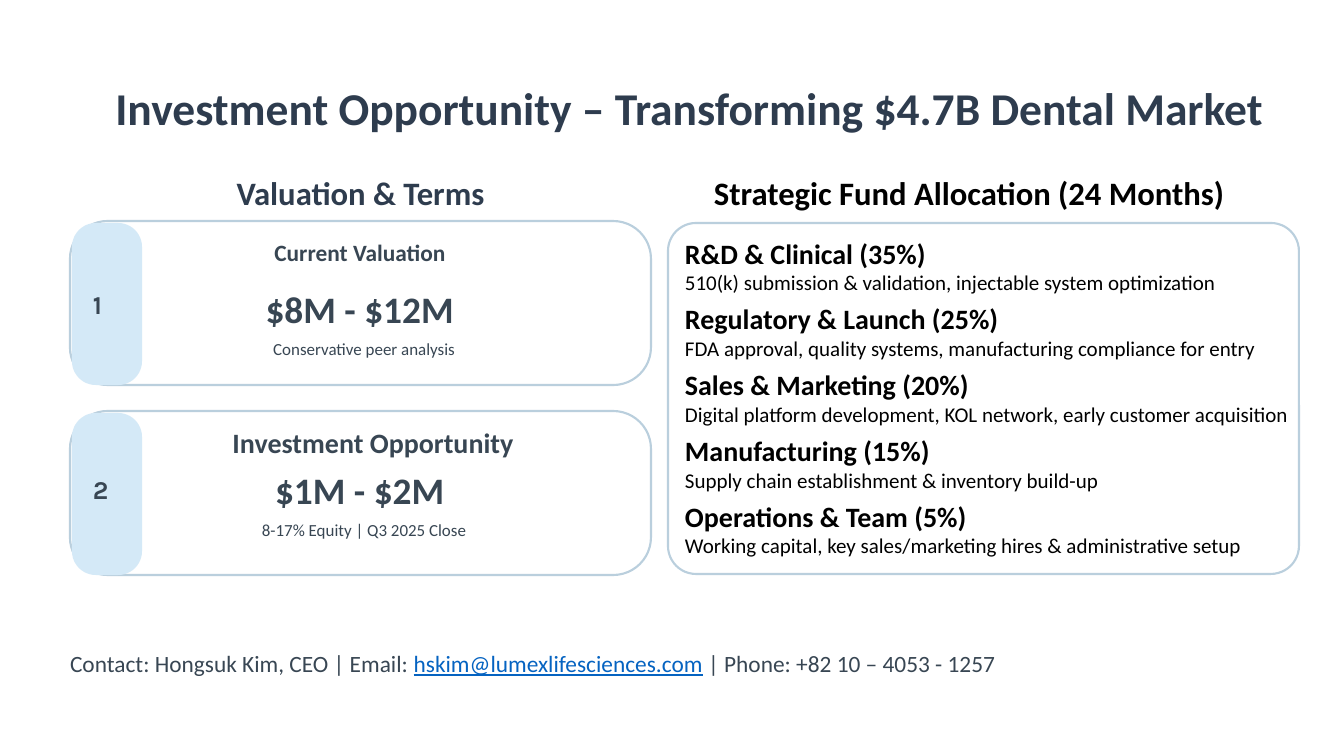
from pptx import Presentation
from pptx.dml.color import RGBColor
from pptx.enum.shapes import MSO_SHAPE
from pptx.enum.text import MSO_AUTO_SIZE, PP_ALIGN
from pptx.util import Emu, Pt

ROUND = MSO_SHAPE.ROUNDED_RECTANGLE
LEFT, CENTER = PP_ALIGN.LEFT, PP_ALIGN.CENTER
GROW = MSO_AUTO_SIZE.SHAPE_TO_FIT_TEXT
PX_PER_INCH = 84

COLORS = {
    "title": "2E3C4E",
    "body": "384653",
    "black": "000000",
    "border": "BACFDD",
    "tab": "D4E9F7",
    "link": "0563C1",
}

CARDS = [
    {"number": "1", "number_dy": 73, "heading": "Current Valuation",
     "heading_at": (90, 17), "heading_size": 20,
     "amount": "$8M - $12M ", "note": "Conservative peer analysis", "amount_dy": 83},
    {"number": "2", "number_dy": 68, "heading": "Investment Opportunity",
     "heading_at": (103, 20), "heading_size": 24,
     "amount": "$1M - $2M ", "note": "8-17% Equity | Q3 2025 Close", "amount_dy": 74},
]

ALLOCATIONS = [
    ("R&D & Clinical (35%)",
     "510(k) submission & validation, injectable system optimization"),
    ("Regulatory & Launch (25%)",
     "FDA approval, quality systems, manufacturing compliance for entry"),
    ("Sales & Marketing (20%)",
     "Digital platform development, KOL network, early customer acquisition"),
    ("Manufacturing (15%)",
     "Supply chain establishment & inventory build-up"),
    ("Operations & Team (5%)",
     "Working capital, key sales/marketing hires & administrative setup"),
]


def px(n):
    return Emu(round(n * 914400 / PX_PER_INCH))


def rgb(name):
    return RGBColor.from_string(COLORS[name])


def add_box(s, x, y, w, h):
    tf = s.shapes.add_textbox(px(x), px(y), px(w), px(h)).text_frame
    tf.margin_left = tf.margin_right = tf.margin_top = tf.margin_bottom = 0
    tf.word_wrap = False
    return tf


def add_run(p, text, size=20, color="body", bold=False, underline=False, font="Calibri"):
    r = p.add_run()
    r.text = text
    r.font.name = font
    r.font.size = Pt(size)
    r.font.bold = bold
    r.font.underline = underline
    r.font.color.rgb = rgb(color)


def add_text(tf, text, align=LEFT, leading=None, before=0, **fmt):
    first = tf.paragraphs[0]
    p = tf.add_paragraph() if first.runs else first
    p.alignment = align
    if leading:
        p.line_spacing = Pt(leading)
    if before:
        p.space_before = Pt(before)
    add_run(p, text, **fmt)
    return p


def add_panel(s, x, y, w, h, radius, fill=None, line=None):
    sp = s.shapes.add_shape(ROUND, px(x), px(y), px(w), px(h))
    sp.adjustments[0] = radius
    sp.shadow.inherit = False
    if fill:
        sp.fill.solid()
        sp.fill.fore_color.rgb = rgb(fill)
    else:
        sp.fill.background()
    if line:
        sp.line.color.rgb = rgb(line)
        sp.line.width = Pt(1.8)
    else:
        sp.line.fill.background()


def add_heading(s, text, x, y, w, color):
    add_text(add_box(s, x, y, w, 29), text, align=CENTER, leading=24.5,
             size=28, color=color, bold=True)


def add_card(s, card, x, y, w, h):
    add_panel(s, x, y, w, h, 0.23, line="border")
    add_panel(s, x + 2, y + 2, 70, h - 2, 0.34, fill="tab")
    add_text(add_box(s, x + 23, y + card["number_dy"], 26, 33), card["number"],
             leading=22, size=22, bold=True, font="Karla")
    dx, dy = card["heading_at"]
    add_text(add_box(s, x + dx, y + dy, 400, 29), card["heading"], align=CENTER,
             leading=24.5, size=card["heading_size"], bold=True)
    tf = add_box(s, x + 49, y + card["amount_dy"], 490, 28)
    add_text(tf, card["amount"], align=CENTER, leading=23.5, size=32, bold=True)
    add_text(tf, card["note"], align=CENTER, leading=23.5, size=14.5)


def add_valuation(s, x, y, w, h):
    add_heading(s, "Valuation & Terms", x, y - 38, w, "title")
    card_h = 164
    pitch = h - card_h
    for i, card in enumerate(CARDS):
        add_card(s, card, x, y + i * pitch, w, card_h)


def add_allocation(s, x, y, w, h):
    add_heading(s, "Strategic Fund Allocation (24 Months)", x, y - 40, w - 29, "black")
    add_panel(s, x, y, w, h, 0.08, line="border")
    tf = add_box(s, x + 17, y + 13, w - 17, h - 26)
    tf.word_wrap = True
    tf.auto_size = GROW
    for i, (name, detail) in enumerate(ALLOCATIONS):
        add_text(tf, name, before=6 if i else 0, size=24, color="black", bold=True)
        add_text(tf, detail, size=18, color="black")


def add_contact(s, x, y, w, h):
    p = add_text(add_box(s, x, y, w, h), "Contact: Hongsuk Kim, CEO | Email: ", leading=23.5)
    add_run(p, "hskim@lumexlifesciences.com", color="link", underline=True)
    add_run(p, " | Phone: +82 10 – 4053 - 1257")


def main():
    prs = Presentation()
    prs.slide_width, prs.slide_height = px(1344), px(756)
    s = prs.slides.add_slide(prs.slide_layouts[6])
    add_text(add_box(s, 70, 77, 1249, 57),
             "Investment Opportunity – Transforming $4.7B Dental Market ",
             align=CENTER, leading=49, size=39, color="title", bold=True)
    add_valuation(s, 70, 221, 581, 354)
    add_allocation(s, 668, 223, 631, 351)
    add_contact(s, 70, 650, 1204, 28)
    prs.save("out.pptx")


if __name__ == "__main__":
    main()
